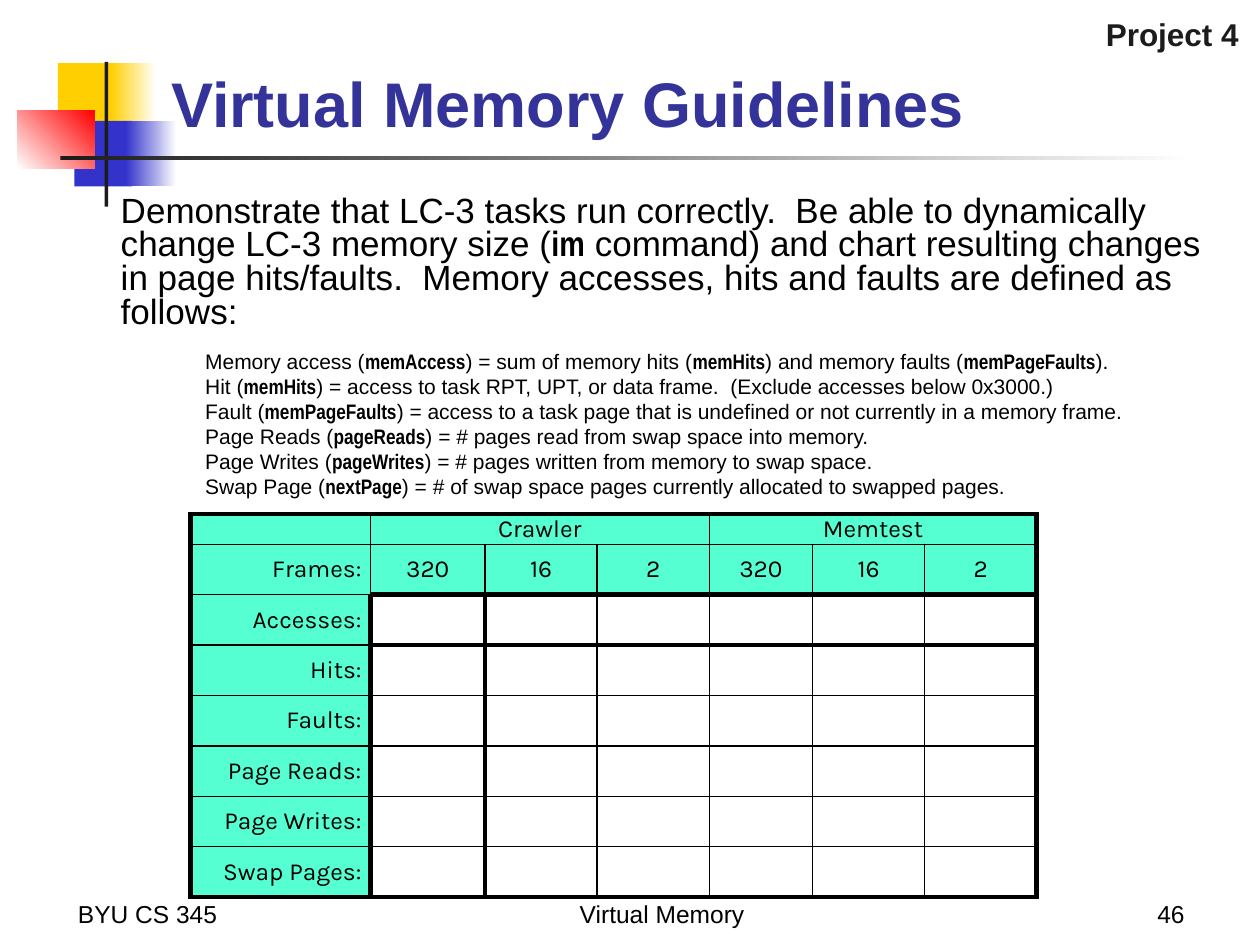
from typing import NamedTuple, Optional

from lxml import etree
from pptx import Presentation
from pptx.dml.color import RGBColor
from pptx.enum.shapes import MSO_SHAPE
from pptx.enum.text import MSO_ANCHOR, PP_ALIGN
from pptx.oxml.ns import qn
from pptx.util import Inches, Pt

RECT = MSO_SHAPE.RECTANGLE
LEFT, MID, RIGHT = PP_ALIGN.LEFT, PP_ALIGN.CENTER, PP_ALIGN.RIGHT
TOP, CENTER, BOTTOM = MSO_ANCHOR.TOP, MSO_ANCHOR.MIDDLE, MSO_ANCHOR.BOTTOM

BLACK = RGBColor(0x00, 0x00, 0x00)
WHITE = RGBColor(0xFF, 0xFF, 0xFF)
DARK = RGBColor(0x1C, 0x1C, 0x1C)
GOLD = RGBColor(0xFF, 0xCF, 0x01)
BLUE = RGBColor(0x33, 0x33, 0xCC)
RED = RGBColor(0xFF, 0x00, 0x00)
NAVY = RGBColor(0x33, 0x33, 0x99)
MINT = RGBColor(0x56, 0xFF, 0xD2)


class Block(NamedTuple):
    x: float
    y: float
    w: float
    h: float
    start: RGBColor
    end: Optional[RGBColor] = None
    angle: int = 0


class Label(NamedTuple):
    text: str
    x: float
    y: float
    w: float
    h: float
    size: int = 14
    color: RGBColor = BLACK
    bold: bool = False
    align: PP_ALIGN = LEFT
    anchor: MSO_ANCHOR = BOTTOM


BLOCKS = [
    Block(0.46, 0.5, 0.48, 0.52, GOLD),
    Block(0.88, 0.5, 0.36, 0.52, GOLD, WHITE),
    Block(0.59, 0.96, 0.46, 0.52, BLUE),
    Block(1, 0.96, 0.4, 0.52, BLUE, WHITE),
    Block(0.14, 0.88, 0.61, 0.46, WHITE, RED, 45),
    Block(0.83, 0.49, 0.03, 1.15, DARK),
    Block(0.48, 1.24, 9, 0.03, DARK, WHITE),
]

LABELS = [
    Label("Virtual Memory Guidelines", 1.26, 0.21, 8.52, 0.95, 36, NAVY, True),
    Label("BYU CS 345", 0.52, 6.92, 2.08, 0.5),
    Label("Virtual Memory", 3.67, 6.92, 3.17, 0.5, align=MID),
    Label("46", 7.42, 6.92, 2.08, 0.5, align=RIGHT),
    Label("Project 4", 6.35, 0.07, 3.58, 0.4, 18, DARK, True, RIGHT, TOP),
]

# Asterisks enclose the code names, set in bold narrow type
INTRO = (
    "Demonstrate that LC-3 tasks run correctly.  Be able to dynamically change "
    "LC-3 memory size (*im* command) and chart resulting changes in page "
    "hits/faults.  Memory accesses, hits and faults are defined as follows:"
)
TERMS = [
    "Memory access (*memAccess*) = sum of memory hits (*memHits*) and memory "
    "faults (*memPageFaults*).",
    "Hit (*memHits*) = access to task RPT, UPT, or data frame.  "
    "(Exclude accesses below 0x3000.)",
    "Fault (*memPageFaults*) = access to a task page that is undefined or not "
    "currently in a memory frame.",
    "Page Reads (*pageReads*) = # pages read from swap space into memory.",
    "Page Writes (*pageWrites*) = # pages written from memory to swap space.",
    "Swap Page (*nextPage*) = # of swap space pages currently allocated to "
    "swapped pages.",
]

WIDTHS = [1.43, 0.91, 0.89, 0.89, 0.82, 0.89, 0.89]
HEIGHTS = [0.24] + [0.4] * 7
ROWS = [
    ["", "Crawler", "", "", "Memtest", "", ""],
    ["Frames:"] + ["320", "16", "2"] * 2,
] + [
    [name + ":"] + [""] * 6
    for name in ("Accesses", "Hits", "Faults", "Page Reads", "Page Writes", "Swap Pages")
]


def write(para, text, *, size=14, font="Arial", color=BLACK, bold=False,
          align=LEFT, line=None, before=None, indent=0.0):
    """Fill a paragraph; parts between asterisks become bold narrow type."""
    para.alignment = align
    para.font.size = Pt(size)
    para.font.name = font
    if line:
        para.line_spacing = line
    if before:
        para.space_before = Pt(before)
    if indent:
        para._p.get_or_add_pPr().set("marL", str(Inches(indent)))
    for i, part in enumerate(text.split("*")):
        if not part:
            continue
        code = i % 2 == 1
        run = para.add_run()
        run.text = part
        run.font.size = Pt(size)
        run.font.name = "Arial Narrow" if code else font
        run.font.bold = bold or code
        run.font.color.rgb = color


def add_box(slide, x: float, y: float, w: float, h: float, anchor=TOP):
    box = slide.shapes.add_textbox(Inches(x), Inches(y), Inches(w), Inches(h))
    frame = box.text_frame
    frame.word_wrap = True
    frame.vertical_anchor = anchor
    return frame


def draw_block(slide, b: Block) -> None:
    shape = slide.shapes.add_shape(RECT, Inches(b.x), Inches(b.y), Inches(b.w), Inches(b.h))
    shape.shadow.inherit = False
    shape.line.fill.background()
    if b.end is None:
        shape.fill.solid()
        shape.fill.fore_color.rgb = b.start
        return
    shape.fill.gradient()
    shape.fill.gradient_angle = b.angle
    for stop, color, pos in zip(shape.fill.gradient_stops, (b.start, b.end), (0, 1)):
        stop.color.rgb = color
        stop.position = pos


def draw_label(slide, item: Label) -> None:
    frame = add_box(slide, item.x, item.y, item.w, item.h, item.anchor)
    write(frame.paragraphs[0], item.text, size=item.size, color=item.color,
          bold=item.bold, align=item.align)


def draw_body(slide) -> None:
    frame = add_box(slide, 0.86, 1.51, 8.95, 2.88)
    write(frame.paragraphs[0], INTRO, size=20, line=0.8, before=4.6)
    for i, term in enumerate(TERMS):
        write(frame.add_paragraph(), term, size=12, line=0.8,
              before=2.75 if i else 13, indent=0.67)


def set_edge(cell, side: str, thick: bool) -> None:
    props = cell._tc.get_or_add_tcPr()
    edge = etree.SubElement(props, qn("a:ln" + side), w=str(Pt(3 if thick else 1)))
    fill = etree.SubElement(edge, qn("a:solidFill"))
    etree.SubElement(fill, qn("a:srgbClr"), val=str(BLACK))


def draw_table(slide) -> None:
    rows, cols = len(ROWS), len(WIDTHS)
    table = slide.shapes.add_table(
        rows, cols, Inches(1.51), Inches(4.08),
        Inches(sum(WIDTHS)), Inches(sum(HEIGHTS))).table
    table.first_row = table.horz_banding = False
    for col, width in zip(table.columns, WIDTHS):
        col.width = Inches(width)
    for row, height in zip(table.rows, HEIGHTS):
        row.height = Inches(height)
    for first in (1, 4):
        table.cell(0, first).merge(table.cell(0, first + 2))

    def upright(x: int, r: int) -> bool:
        return x in (0, cols) or (r >= 2 and x in (1, 2))

    def level(y: int, c: int) -> bool:
        return y in (0, rows) or (c >= 1 and y in (2, 3))

    for r, texts in enumerate(ROWS):
        for c, text in enumerate(texts):
            cell = table.cell(r, c)
            span = cell.span_width if cell.is_merge_origin else 1
            cell.margin_left = cell.margin_right = Inches(0.07)
            cell.margin_top = cell.margin_bottom = 0
            cell.vertical_anchor = CENTER
            write(cell.text_frame.paragraphs[0], text, font="Karla",
                  align=MID if c else RIGHT)
            set_edge(cell, "L", upright(c, r))
            set_edge(cell, "R", upright(c + span, r))
            set_edge(cell, "T", level(r, c))
            set_edge(cell, "B", level(r + 1, c))
            if r < 2 or c == 0:
                cell.fill.solid()
                cell.fill.fore_color.rgb = MINT
            else:
                cell.fill.background()


def main() -> None:
    deck = Presentation()
    deck.slide_width, deck.slide_height = Inches(10), Inches(7.5)
    slide = deck.slides.add_slide(deck.slide_layouts[6])
    # Corner ornament and rule
    for block in BLOCKS:
        draw_block(slide, block)
    # Title, footer and tag
    for item in LABELS:
        draw_label(slide, item)
    # Results table and definitions
    draw_table(slide)
    draw_body(slide)
    deck.save("out.pptx")


if __name__ == "__main__":
    main()
